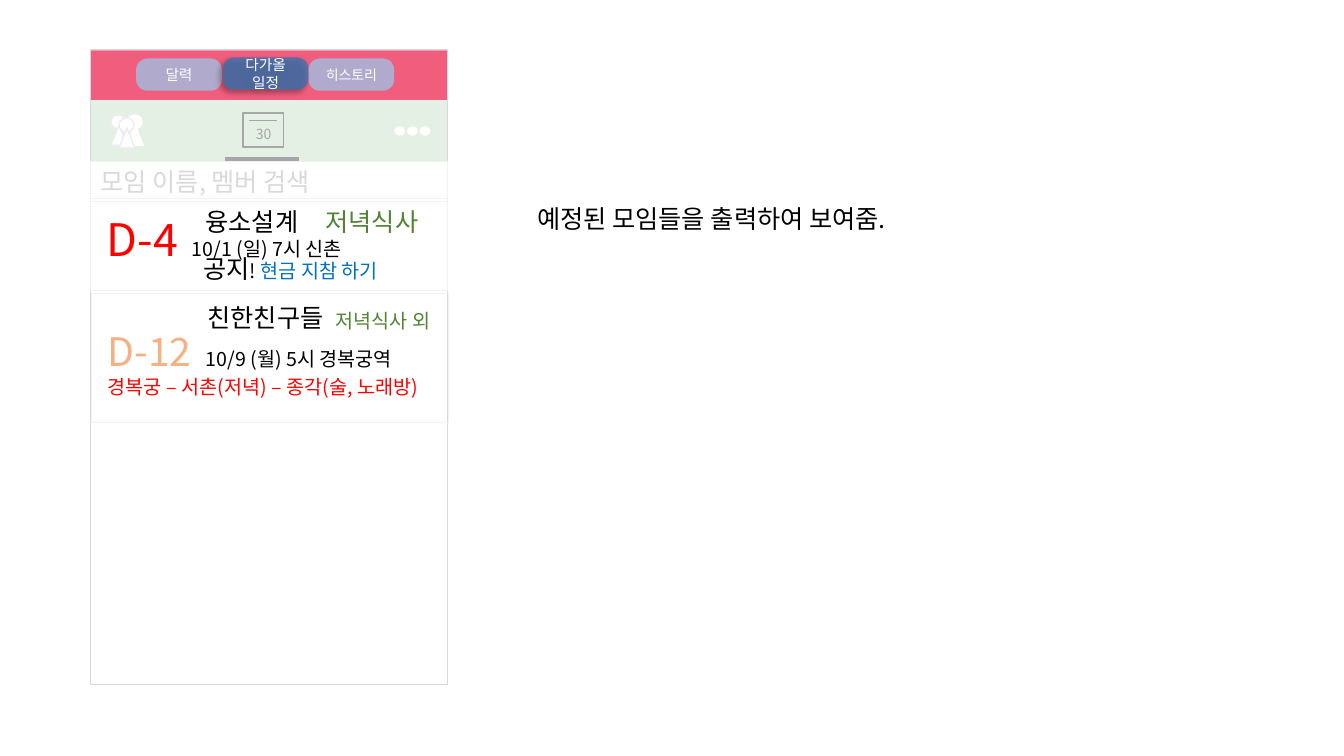
from lxml.etree import SubElement
from pptx import Presentation
from pptx.dml.color import RGBColor
from pptx.enum.shapes import MSO_CONNECTOR, MSO_SHAPE
from pptx.enum.text import MSO_ANCHOR, MSO_AUTO_SIZE, PP_ALIGN
from pptx.oxml.ns import qn
from pptx.util import Inches, Pt

KR = "Noto Sans CJK KR"
BLACK = RGBColor(0, 0, 0)
WHITE = RGBColor(255, 255, 255)
MINT = RGBColor(0xE4, 0xF0, 0xE4)
PINK = RGBColor(0xF1, 0x5D, 0x7D)
GRAY = RGBColor(0xA6, 0xA6, 0xA6)
SILVER = RGBColor(0xD9, 0xD9, 0xD9)
PALE = RGBColor(0xF2, 0xF2, 0xF2)
EDGE = RGBColor(0xED, 0xED, 0xED)
SKY = RGBColor(0x9D, 0xC3, 0xE6)
BLUE = RGBColor(0x2E, 0x75, 0xB6)
NOTICE = RGBColor(0, 0x70, 0xC0)
RED = RGBColor(255, 0, 0)
ORANGE = RGBColor(0xF4, 0xB1, 0x83)
GREEN = RGBColor(0x54, 0x82, 0x35)

LEFT, WIDE = 0.9, 3.54  # phone screen


def add_run(para, text, size=18, color=BLACK, font=KR):
    run = para.add_run()
    run.text = text
    run.font.size = Pt(size)
    run.font.color.rgb = color
    run.font.name = font
    SubElement(run.font._element, qn("a:ea")).set("typeface", font)


def add_box(slide, x, y, w, h, kind=MSO_SHAPE.RECTANGLE, fill=None, line=None, weight=1):
    shape = slide.shapes.add_shape(kind, Inches(x), Inches(y), Inches(w), Inches(h))
    shape.shadow.inherit = False
    if fill is None:
        shape.fill.background()
    else:
        shape.fill.solid()
        shape.fill.fore_color.rgb = fill
    if line is None:
        shape.line.fill.background()
    else:
        shape.line.color.rgb = line
        shape.line.width = Pt(weight)
    return shape


def add_text(slide, x, y, w, h, *paras):
    """Each paragraph is a list of (text, size, color) runs."""
    box = slide.shapes.add_textbox(Inches(x), Inches(y), Inches(w), Inches(h))
    frame = box.text_frame
    frame.word_wrap = True
    frame.auto_size = MSO_AUTO_SIZE.SHAPE_TO_FIT_TEXT
    for i, runs in enumerate(paras):
        para = frame.add_paragraph() if i else frame.paragraphs[0]
        for text, size, color in runs:
            add_run(para, text, size=size, color=color)


def add_line(slide, x, end, y, weight):
    line = slide.shapes.add_connector(
        MSO_CONNECTOR.STRAIGHT, Inches(x), Inches(y), Inches(end), Inches(y))
    line.line.color.rgb = GRAY
    line.line.width = Pt(weight)
    SubElement(line._element.spPr, qn("a:effectLst"))


def set_alpha(parent, percent):
    color = next(parent.iter(qn("a:srgbClr")))
    SubElement(color, qn("a:alpha")).set("val", str(percent * 1000))


def add_tab(slide, x, y, text, fill=SKY, alpha=77, size=10.5, font="Arial"):
    tab = add_box(slide, x, y, 0.85, 0.32, MSO_SHAPE.ROUNDED_RECTANGLE, fill=fill)
    tab.adjustments[0] = 0.347
    set_alpha(tab._element.spPr, alpha)
    frame = tab.text_frame
    frame.word_wrap = True
    frame.vertical_anchor = MSO_ANCHOR.MIDDLE
    frame.paragraphs[0].alignment = PP_ALIGN.CENTER
    add_run(frame.paragraphs[0], text, size=size, color=WHITE, font=font)
    return tab


def add_glow(shape):
    effects = shape._element.spPr.find(qn("a:effectLst"))
    shade = SubElement(effects, qn("a:outerShdw"), blurRad=str(Pt(4)),
                       dist=str(Pt(3)), dir="8100000", rotWithShape="0")
    SubElement(shade, qn("a:srgbClr")).set("val", "000000")
    set_alpha(shade, 40)


def add_person(slide, x, y, line):
    add_box(slide, x, y, 0.15, 0.14, MSO_SHAPE.OVAL, fill=WHITE, line=line)
    add_box(slide, x, y + 0.1, 0.16, 0.2, MSO_SHAPE.ISOSCELES_TRIANGLE, fill=WHITE, line=line)


def add_icons(slide):
    # Calendar
    add_box(slide, 2.41, 1.12, 0.4, 0.34, line=GRAY)
    add_line(slide, 2.47, 2.75, 1.19, 0.5)
    add_text(slide, 2.44, 1.2, 0.41, 0.27, [("30", 10, GRAY)])
    # Group of people
    for x, y, line in ((1.26, 1.14, WHITE), (1.1, 1.14, EDGE), (1.18, 1.17, EDGE)):
        add_person(slide, x, y, line)
    # Mark under the open section
    add_line(slide, 2.23, 2.97, 1.58, 3.5)
    # More button
    for i in range(3):
        add_box(slide, 3.92 + i * 0.125, 1.26, 0.09, 0.08, MSO_SHAPE.OVAL,
                fill=WHITE, line=WHITE)


def add_search(slide):
    field = add_box(slide, LEFT, 1.6, WIDE, 0.4, line=PALE, weight=0.75)
    frame = field.text_frame
    frame.word_wrap = True
    frame.auto_size = MSO_AUTO_SIZE.SHAPE_TO_FIT_TEXT
    frame.vertical_anchor = MSO_ANCHOR.TOP
    frame.paragraphs[0].alignment = PP_ALIGN.LEFT
    add_run(frame.paragraphs[0], "모임 이름, 멤버 검색", color=SILVER)


def add_meetings(slide):
    # First meeting
    add_box(slide, LEFT, 1.97, WIDE, 0.91, line=PALE, weight=0.75)
    add_text(slide, 1.94, 2, 1.49, 0.4, [("융소설계", 18, BLACK)])
    add_text(slide, 0.96, 2.05, 2.96, 0.64,
             [("D-4 ", 32, RED), (" ", 12, BLACK), ("10/1 (일) 7시 신촌", 14, BLACK)])
    add_text(slide, 3.13, 2, 1.27, 0.4, [("저녁식사", 18, GREEN)])
    add_text(slide, 1.92, 2.46, 2.3, 0.4,
             [("공지", 18, BLACK), ("! ", 14, BLACK), ("현금 지참 하기", 14, NOTICE)])
    # Second meeting
    add_box(slide, 0.91, 2.91, WIDE, 1.28, line=PALE, weight=0.75)
    add_text(slide, 1.96, 2.95, 1.49, 0.4, [("친한친구들", 18, BLACK)])
    add_text(slide, 0.97, 3.14, 3.49, 0.81,
             [("D-12", 28, ORANGE), (" ", 32, RED), (" ", 12, BLACK),
              ("10/9 (월) 5시 경복궁역", 14, BLACK)],
             [("경복궁 – 서촌(저녁) – 종각(술, 노래방)", 14, RED)])
    add_text(slide, 3.23, 3.02, 1.51, 0.34, [("저녁식사 외", 14, GREEN)])


def main():
    deck = Presentation()
    deck.slide_width, deck.slide_height = Inches(13.33), Inches(7.5)
    slide = deck.slides.add_slide(deck.slide_layouts[6])

    # Phone screen with its header bars
    add_box(slide, LEFT, 0.99, WIDE, 0.61, fill=MINT)
    add_box(slide, LEFT, 0.5, WIDE, 0.49, fill=PINK)
    add_icons(slide)
    add_box(slide, LEFT, 0.49, WIDE, 6.3, line=SILVER)

    # Tabs
    add_tab(slide, 1.35, 0.58, "달력")
    add_glow(add_tab(slide, 2.21, 0.57, "다가올 일정", fill=BLUE, alpha=74, font=KR))
    add_tab(slide, 3.06, 0.58, "히스토리", size=10)

    # Search and list
    add_search(slide)
    add_meetings(slide)

    # Description
    add_text(slide, 5.23, 1.97, 6, 0.4, [("예정된 모임들을 출력하여 보여줌.", 18, BLACK)])
    deck.save("out.pptx")


if __name__ == "__main__":
    main()
